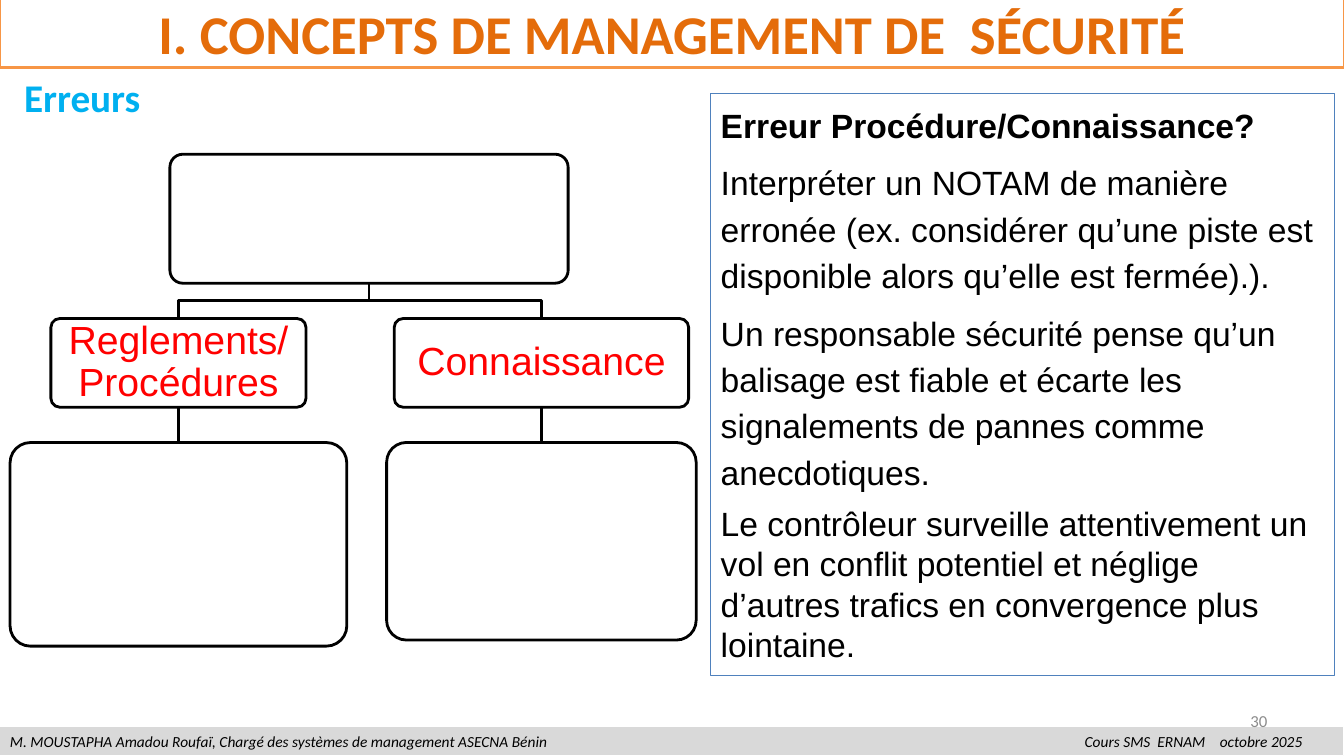
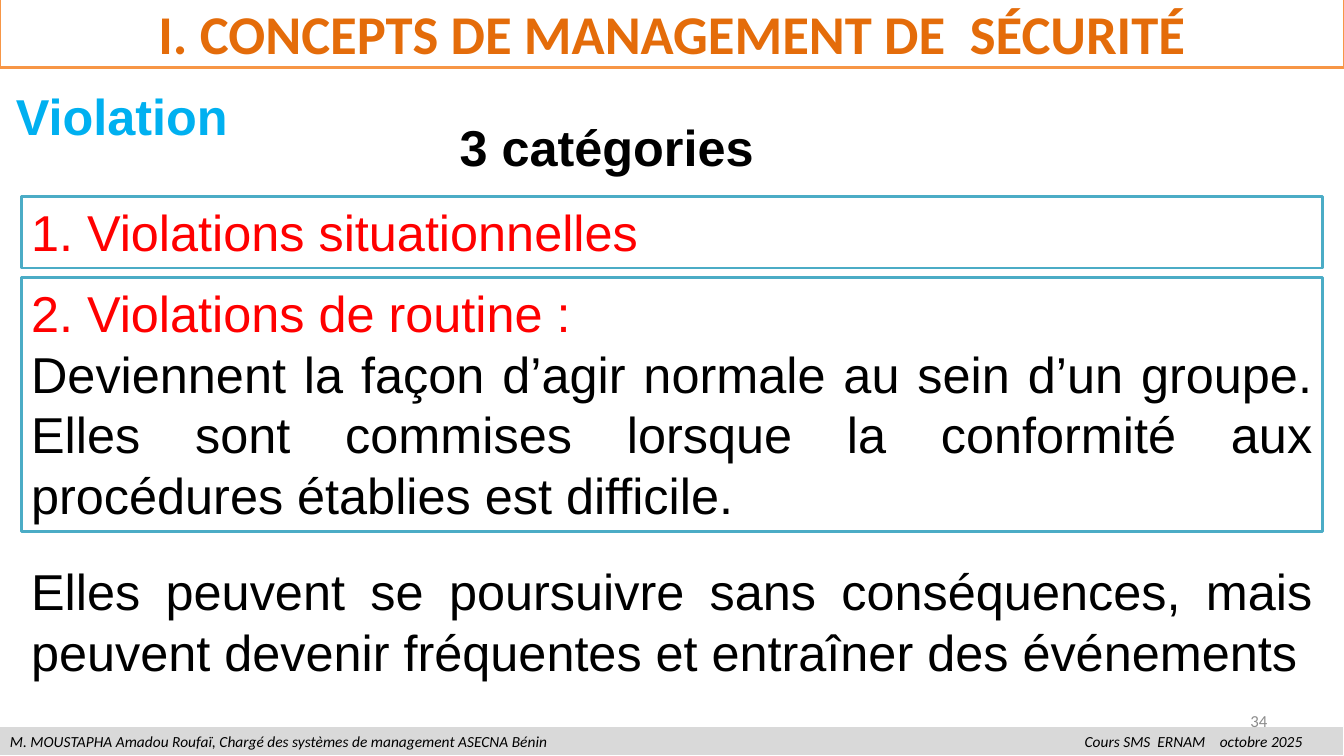
from lxml.etree import SubElement
from pptx import Presentation
from pptx.dml.color import RGBColor
from pptx.enum.shapes import MSO_CONNECTOR, MSO_SHAPE
from pptx.enum.text import MSO_ANCHOR, MSO_AUTO_SIZE, PP_ALIGN
from pptx.oxml.ns import qn
from pptx.util import Inches, Pt

WHITE = RGBColor(0xFF, 0xFF, 0xFF)
BLACK = RGBColor(0x00, 0x00, 0x00)
RED = RGBColor(0xFF, 0x00, 0x00)
SKY = RGBColor(0x00, 0xB0, 0xF0)
BLUE = RGBColor(0x4F, 0x81, 0xBD)
TEAL = RGBColor(0x4B, 0xAC, 0xC6)
ORANGE = RGBColor(0xF7, 0x96, 0x46)
DARK_ORANGE = RGBColor(0xE4, 0x6C, 0x0A)
LIGHT_GREY = RGBColor(0xD9, 0xD9, 0xD9)
GREY = RGBColor(0x8C, 0x8C, 0x8C)

TITLE = "I. CONCEPTS DE MANAGEMENT DE  SÉCURITÉ"
FOOTER = ("M. MOUSTAPHA Amadou Roufaï, Chargé des systèmes de management ASECNA Bénin"
          "\tCours SMS  ERNAM\toctobre 2025")


def add_box(slide, preset, left, top, width, height, line_color, line_width=2, fill_color=WHITE):
    box = slide.shapes.add_shape(preset, Inches(left), Inches(top), Inches(width), Inches(height))
    box.shadow.inherit = False
    if fill_color is None:
        box.fill.background()
    else:
        box.fill.solid()
        box.fill.fore_color.rgb = fill_color
    box.line.color.rgb = line_color
    box.line.width = Pt(line_width)
    if preset == MSO_SHAPE.ROUNDED_RECTANGLE:
        box.adjustments[0] = 0.1
    return box


def write(box, text, size, color, bold=False, font="Arial", align=PP_ALIGN.LEFT, anchor=MSO_ANCHOR.TOP):
    frame = box.text_frame
    frame.text = text
    frame.word_wrap = True
    frame.auto_size = MSO_AUTO_SIZE.NONE
    frame.vertical_anchor = anchor
    for para in frame.paragraphs:
        para.alignment = align
        for span in para.runs:
            span.font.name = font
            span.font.size = Pt(size)
            span.font.bold = bold
            span.font.color.rgb = color
    return frame


deck = Presentation()
deck.slide_width = Inches(13.33)
deck.slide_height = Inches(7.5)
layout = deck.slide_layouts[5]

pages = []
for number, heading, left, top, width, height, size, font in [
    ("30", "Erreurs", 0.14, 0.68, 1.92, 0.57, 28, "Calibri"),
    ("34", "Violation", 0.06, 0.79, 2.83, 0.71, 36, "Arial"),
]:
    page = deck.slides.add_slide(layout)
    pages.append(page)
    title = page.shapes.title
    title.left, title.top = Inches(0), Inches(-0.03)
    title.width, title.height = Inches(13.33), Inches(0.7)
    title.fill.solid()
    title.fill.fore_color.rgb = WHITE
    title.line.color.rgb = ORANGE
    title.line.width = Pt(2)
    write(title, TITLE, 39, DARK_ORANGE, True, "Calibri", PP_ALIGN.CENTER, MSO_ANCHOR.MIDDLE)
    number_box = page.shapes.add_textbox(Inches(9.56), Inches(6.95), Inches(3.11), Inches(0.4))
    write(number_box, number, 12, GREY, font="Calibri", align=PP_ALIGN.RIGHT, anchor=MSO_ANCHOR.MIDDLE)
    heading_box = page.shapes.add_textbox(Inches(left), Inches(top), Inches(width), Inches(height))
    write(heading_box, heading, size, SKY, True, font)

errors, violations = pages

footer = add_box(errors, MSO_SHAPE.RECTANGLE, 0, 7.21, 13.33, 0.29, WHITE, 0.75, LIGHT_GREY)
footer_para = write(footer, FOOTER, 11, BLACK, font="Calibri").paragraphs[0]
tabs = SubElement(footer_para._p.get_or_add_pPr(), qn("a:tabLst"))
for stop in (10.66, 12):
    SubElement(tabs, qn("a:tab"), pos=str(Inches(stop)), algn="l")
for span in footer_para.runs:
    span.font.italic = True
layout.shapes.element.append(footer.element)

ROOT_CENTER, ROOT_BOTTOM, BRANCH_TOP, BRANCH_HEIGHT, LEAF_TOP = 3.66, 2.81, 3.16, 0.88, 4.39
ROOT_WIDTH, ROOT_TOP = 3.95, 1.53
add_box(errors, MSO_SHAPE.ROUNDED_RECTANGLE, ROOT_CENTER - ROOT_WIDTH / 2, ROOT_TOP,
        ROOT_WIDTH, ROOT_BOTTOM - ROOT_TOP, BLACK)
for label, center, branch_width, leaf_width, leaf_height in [
    ("Reglements/Procédures", 1.77, 2.53, 3.34, 2.02),
    ("Connaissance", 5.37, 2.92, 3.07, 1.96),
]:
    middle = (ROOT_BOTTOM + BRANCH_TOP) / 2
    outline = errors.shapes.build_freeform(Inches(ROOT_CENTER), Inches(ROOT_BOTTOM))
    outline.add_line_segments(
        [(Inches(x), Inches(y)) for x, y in
         [(ROOT_CENTER, middle), (center, middle), (center, BRANCH_TOP)]], close=False)
    elbow = outline.convert_to_shape()
    elbow.shadow.inherit = False
    elbow.fill.background()
    elbow.line.color.rgb = BLACK
    elbow.line.width = Pt(2)

    branch = add_box(errors, MSO_SHAPE.ROUNDED_RECTANGLE, center - branch_width / 2, BRANCH_TOP,
                     branch_width, BRANCH_HEIGHT, BLACK)
    frame = write(branch, label, 28, RED, align=PP_ALIGN.CENTER, anchor=MSO_ANCHOR.MIDDLE)
    frame.margin_left = frame.margin_right = frame.margin_top = frame.margin_bottom = Inches(0.12)
    frame.paragraphs[0].line_spacing = 0.9
    leaf = add_box(errors, MSO_SHAPE.ROUNDED_RECTANGLE, center - leaf_width / 2, LEAF_TOP,
                   leaf_width, leaf_height, BLACK)
    link = errors.shapes.add_connector(
        MSO_CONNECTOR.STRAIGHT, Inches(center), Inches(BRANCH_TOP + BRANCH_HEIGHT),
        Inches(center), Inches(LEAF_TOP))
    link.begin_connect(branch, 2)
    link.end_connect(leaf, 0)
    link.line.color.rgb = BLACK
    link.line.width = Pt(2)
    SubElement(link.element.spPr, qn("a:effectLst"))

examples = add_box(errors, MSO_SHAPE.RECTANGLE, 7.05, 0.93, 6.19, 5.77, BLUE, 0.75, None)
frame = write(examples, "\n".join([
    "Erreur Procédure/Connaissance?",
    "Interpréter un NOTAM de manière erronée (ex. considérer qu’une piste est disponible "
    "alors qu’elle est fermée).).",
    "Un responsable sécurité pense qu’un balisage est fiable et écarte les signalements "
    "de pannes comme anecdotiques.",
    "Le contrôleur surveille attentivement un vol en conflit potentiel et néglige "
    "d’autres trafics en convergence plus lointaine.",
]), 24, BLACK)
frame.paragraphs[0].runs[0].font.bold = True
for para in frame.paragraphs[:3]:
    para.line_spacing = 1.15
    para.space_after = Pt(8)

categories = violations.shapes.add_textbox(Inches(4.46), Inches(1.1), Inches(4.72), Inches(0.71))
write(categories, "3 catégories", 36, BLACK, True)
for top, height, line_color, align, red_title, body in [
    (1.95, 0.71, TEAL, PP_ALIGN.LEFT, "1. Violations situationnelles", ""),
    (2.75, 2.52, TEAL, PP_ALIGN.JUSTIFY, "2. Violations de routine :",
     "Deviennent la façon d’agir normale au sein d’un groupe. Elles sont commises lorsque "
     "la conformité aux procédures établies est difficile."),
    (5.51, 1.31, WHITE, PP_ALIGN.JUSTIFY, "",
     "Elles peuvent se poursuivre sans conséquences, mais peuvent devenir fréquentes et "
     "entraîner des événements"),
]:
    panel = add_box(violations, MSO_SHAPE.RECTANGLE, 0.21, top, 12.91, height, line_color)
    frame = write(panel, "\n".join(filter(None, [red_title, body])), 36, BLACK, align=align)
    if red_title:
        frame.paragraphs[0].runs[0].font.color.rgb = RED

deck.save("out.pptx")
